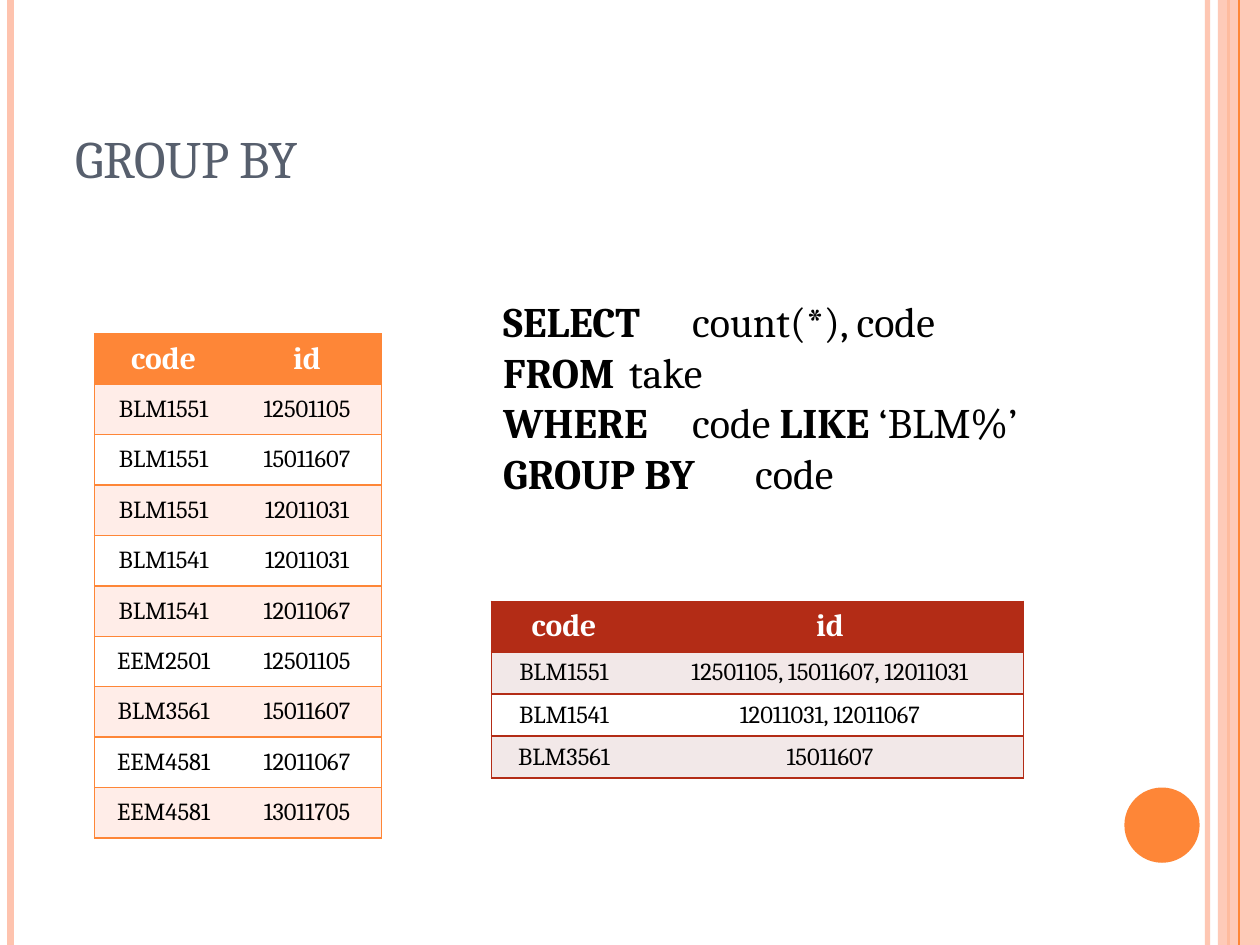
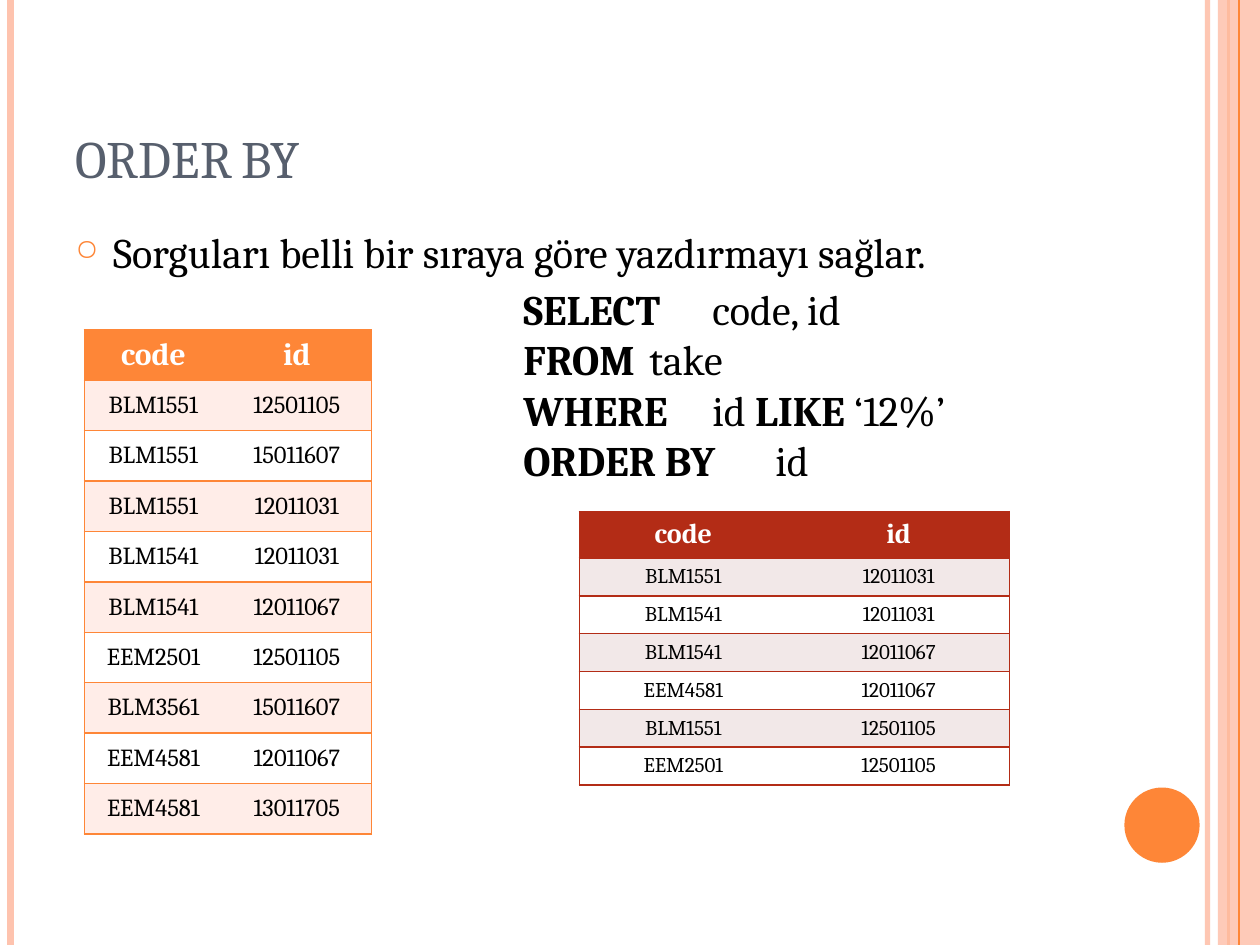
"""Build two slides on the SQL GROUP BY and ORDER BY clauses."""
from dataclasses import dataclass

from lxml import etree
from pptx import Presentation
from pptx.dml.color import RGBColor
from pptx.enum.shapes import MSO_CONNECTOR, MSO_SHAPE
from pptx.enum.text import MSO_ANCHOR, PP_ALIGN
from pptx.oxml.ns import qn
from pptx.util import Pt


@dataclass(frozen=True)
class Theme:
    font: str = "Cambria"
    title_color: str = "575F6D"
    text_color: str = "000000"
    white: str = "FFFFFF"
    orange: str = "FE8637"
    peach: str = "FEC3AE"
    orange_band: str = "FFEDE8"
    red: str = "B32C16"
    red_band: str = "F2E8E8"
    title_size: int = 30
    body_size: int = 24
    line_spacing: float = 1.2
    cell_padding: float = 7.2


THEME = Theme()
WIDTH, HEIGHT = 720, 540
TITLE_BOX = (36, 21.6, 588, 90)
BODY_BOX = (36, 126, 588, 64.8)
RAIL = (696, 0, 24, HEIGHT)
DISC = (642.5, 450, 43, 43)
RULES = [
    (690, THEME.peach, 3, 93),
    (6, THEME.peach, 4.5, 100),
    (702, THEME.orange, 1.5, 100),
    (708, THEME.orange, 0.75, 100),
]

HEADER = ("code", "id")
TAKE_ROWS = [
    ("BLM1551", "12501105"),
    ("BLM1551", "15011607"),
    ("BLM1551", "12011031"),
    ("BLM1541", "12011031"),
    ("BLM1541", "12011067"),
    ("EEM2501", "12501105"),
    ("BLM3561", "15011607"),
    ("EEM4581", "12011067"),
    ("EEM4581", "13011705"),
]
TAKE_STYLE = dict(columns=(79, 85), sizes=(18, 14), row_height=28.8,
                  accent=THEME.orange, band=THEME.orange_band)
RESULT_STYLE = dict(accent=THEME.red, band=THEME.red_band)

SLIDES = [
    dict(
        title="GROUP BY",
        bullet=None,
        take_at=(54, 190.8),
        query_box=(280.5, 165.6, 396.5, 124),
        query=[
            [("SELECT \t", True), ("count(*), code", False)],
            [("FROM\t", True), ("take", False)],
            [("WHERE\t", True), ("code ", False), ("LIKE", True), (" ‘BLM%’", False)],
            [("GROUP BY\t", True), ("code", False)],
        ],
        result_at=(280.8, 343.7),
        result_columns=(83, 221),
        result_sizes=(18, 14),
        result=[
            ("BLM1551", "12501105, 15011607, 12011031"),
            ("BLM1541", "12011031, 12011067"),
            ("BLM3561", "15011607"),
        ],
    ),
    dict(
        title="ORDER BY",
        bullet="Sorguları belli bir sıraya göre yazdırmayı sağlar.",
        take_at=(48.2, 188.5),
        query_box=(292, 158.4, 332, 124),
        query=[
            [("SELECT \t", True), ("code, id", False)],
            [("FROM\t", True), ("take", False)],
            [("WHERE\t", True), ("id ", False), ("LIKE", True), (" ‘12%’", False)],
            [("ORDER BY\t", True), ("id", False)],
        ],
        result_at=(331, 292.4),
        result_columns=(119, 127),
        result_sizes=(16, 12),
        result=[
            ("BLM1551", "12011031"),
            ("BLM1541", "12011031"),
            ("BLM1541", "12011067"),
            ("EEM4581", "12011067"),
            ("BLM1551", "12501105"),
            ("EEM2501", "12501105"),
        ],
    ),
]


def points(values):
    return [Pt(value) for value in values]


def add_child(parent, tag, **attributes):
    return etree.SubElement(parent, qn(tag), attributes)


def set_alpha(shape, percent):
    color = next(shape._element.spPr.iter(qn("a:srgbClr")))
    add_child(color, "a:alpha", val=str(percent * 1000))


def add_run(paragraph, text, size, color=THEME.text_color, bold=False):
    run = paragraph.add_run()
    run.text = text
    run.font.name = THEME.font
    run.font.size = Pt(size)
    run.font.bold = bold
    run.font.color.rgb = RGBColor.from_string(color)
    return run


def add_text_frame(slide, box, anchor=MSO_ANCHOR.TOP):
    frame = slide.shapes.add_textbox(*points(box)).text_frame
    frame.word_wrap = True
    frame.vertical_anchor = anchor
    return frame


def add_rule(slide, x, color, width, alpha):
    rule = slide.shapes.add_connector(MSO_CONNECTOR.STRAIGHT, *points((x, 0, x, HEIGHT)))
    rule.line.color.rgb = RGBColor.from_string(color)
    rule.line.width = Pt(width)
    if alpha < 100:
        set_alpha(rule, alpha)
    add_child(rule._element.spPr, "a:effectLst")


def add_plain_shape(slide, kind, box, color):
    shape = slide.shapes.add_shape(kind, *points(box))
    shape.shadow.inherit = False
    shape.fill.solid()
    shape.fill.fore_color.rgb = RGBColor.from_string(color)
    shape.line.fill.background()
    return shape


def add_frame(slide):
    *back_rules, front_rule = RULES
    for rule in back_rules:
        add_rule(slide, *rule)
    set_alpha(add_plain_shape(slide, MSO_SHAPE.RECTANGLE, RAIL, THEME.peach), 87)
    add_rule(slide, *front_rule)
    add_plain_shape(slide, MSO_SHAPE.OVAL, DISC, THEME.orange)


def add_title(slide, text):
    frame = add_text_frame(slide, TITLE_BOX, MSO_ANCHOR.BOTTOM)
    run = add_run(frame.paragraphs[0], text, THEME.title_size, THEME.title_color)
    run.font._element.set("cap", "small")


def add_bullet(slide, text):
    paragraph = add_text_frame(slide, BODY_BOX).paragraphs[0]
    paragraph.space_before = Pt(6)
    properties = paragraph._p.get_or_add_pPr()
    properties.set("marL", str(Pt(21.6)))
    properties.set("indent", str(-Pt(21.6)))
    add_child(add_child(properties, "a:buClr"), "a:srgbClr", val=THEME.orange)
    add_child(properties, "a:buSzPct", val="70000")
    add_child(properties, "a:buChar", char="○")
    add_run(paragraph, text, THEME.body_size)


def add_query(slide, box, lines):
    frame = add_text_frame(slide, box)
    for index, line in enumerate(lines):
        paragraph = frame.add_paragraph() if index else frame.paragraphs[0]
        for text, bold in line:
            add_run(paragraph, text, THEME.body_size, bold=bold)


def set_borders(cell, color, sides):
    properties = cell._tc.get_or_add_tcPr()
    for index, side in enumerate("LRTB"):
        line = etree.Element(qn(f"a:ln{side}"), w=str(Pt(1)))
        if side in sides:
            add_child(add_child(line, "a:solidFill"), "a:srgbClr", val=color)
        else:
            add_child(line, "a:noFill")
        properties.insert(index, line)


def add_grid(slide, position, rows, columns, sizes, accent, band, row_height=None):
    header_size, body_size = sizes
    header_height, natural_height = (
        size * THEME.line_spacing + THEME.cell_padding for size in sizes)
    heights = [header_height] + [row_height or natural_height] * len(rows)
    box = points((*position, sum(columns), sum(heights)))
    table = slide.shapes.add_table(len(heights), len(columns), *box).table
    for column, width in zip(table.columns, columns):
        column.width = Pt(width)
    for r, (values, height) in enumerate(zip([HEADER, *rows], heights)):
        table.rows[r].height = Pt(height)
        is_header = r == 0
        fill = accent if is_header else band if r % 2 else THEME.white
        for c, value in enumerate(values):
            cell = table.cell(r, c)
            cell.vertical_anchor = MSO_ANCHOR.MIDDLE
            cell.fill.solid()
            cell.fill.fore_color.rgb = RGBColor.from_string(fill)
            set_borders(cell, accent, "TB" + "LR"[c])
            paragraph = cell.text_frame.paragraphs[0]
            paragraph.alignment = PP_ALIGN.CENTER
            add_run(paragraph, value, header_size if is_header else body_size,
                    THEME.white if is_header else THEME.text_color, is_header)


def build():
    deck = Presentation()
    deck.slide_width, deck.slide_height = Pt(WIDTH), Pt(HEIGHT)
    for content in SLIDES:
        slide = deck.slides.add_slide(deck.slide_layouts[6])
        add_frame(slide)
        add_title(slide, content["title"])
        if content["bullet"]:
            add_bullet(slide, content["bullet"])
        add_grid(slide, content["take_at"], TAKE_ROWS, **TAKE_STYLE)
        add_query(slide, content["query_box"], content["query"])
        add_grid(slide, content["result_at"], content["result"],
                 content["result_columns"], content["result_sizes"], **RESULT_STYLE)
    deck.save("out.pptx")


build()
